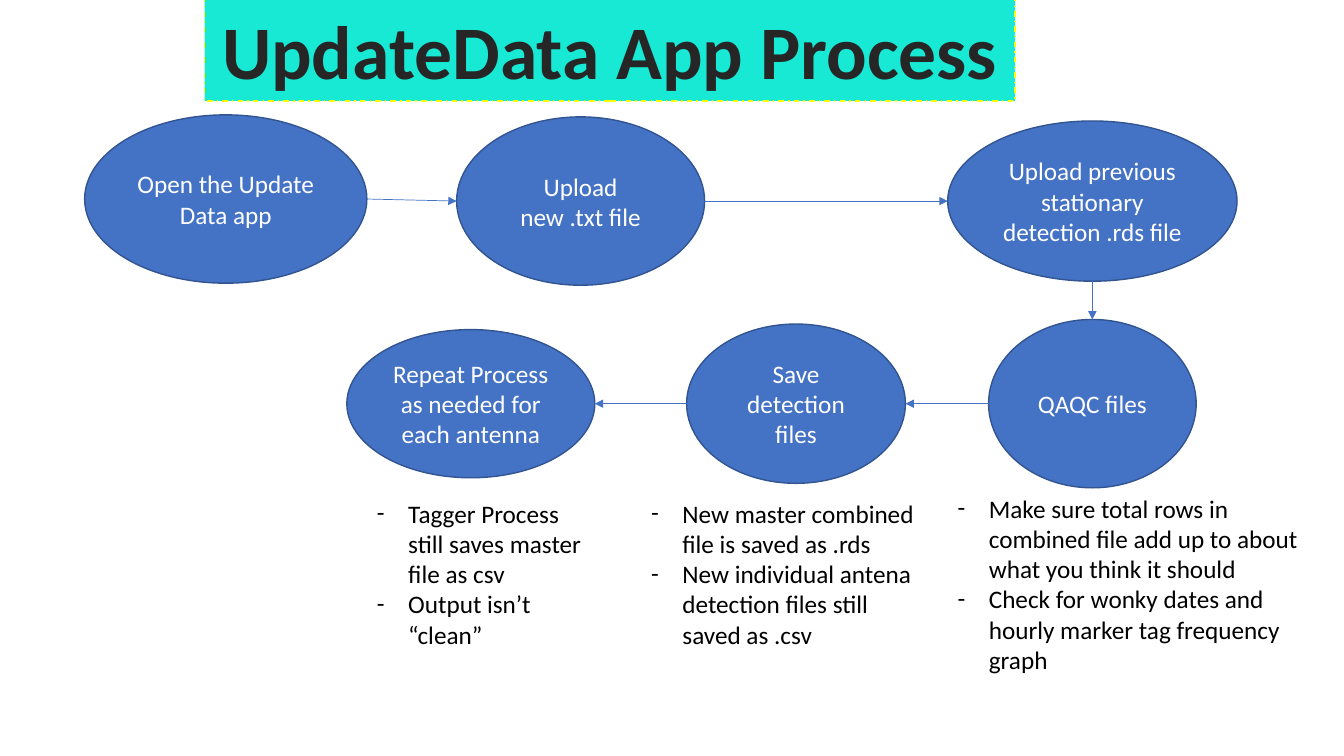
from itertools import pairwise

from lxml.etree import SubElement
from pptx import Presentation
from pptx.dml.color import RGBColor
from pptx.enum.dml import MSO_LINE_DASH_STYLE as Dash
from pptx.enum.shapes import MSO_CONNECTOR as Connector, MSO_SHAPE as Shape
from pptx.enum.text import MSO_ANCHOR as Anchor, MSO_AUTO_SIZE as AutoSize, PP_ALIGN as Align
from pptx.oxml import parse_xml
from pptx.oxml.ns import nsdecls, qn
from pptx.util import Inches, Pt

WIDTH, HEIGHT = Inches(13.33), Inches(7.5)
BLUE, NAVY, WHITE, BLACK = "4472C4", "325491", "FFFFFF", "000000"
TOP_ROW, LOWER_ROW = 26.6, 53.4

# Text, centre x, centre y, width, height: percent of the slide
STEPS = [
    ("Open the Update Data app", 16.8, 26.33, 21, 22.27),
    ("Upload new .txt file", 43.2, TOP_ROW, 18.45, 22.27),
    ("Upload previous stationary detection .rds file", 81.28, TOP_ROW, 21.53, 21.2),
    ("QAQC files", 81.28, LOWER_ROW, 15.45, 22.27),
    ("Save detection files", 59.23, LOWER_ROW, 16.28, 21.07),
    ("Repeat Process as needed for each antenna", 35.03, LOWER_ROW, 18.45, 19.6),
]

# Lines, then left, top, width, height: percent of the slide
NOTES = [
    (["Make sure total rows in combined file add up to about what you think it should",
      "Check for wonky dates and hourly marker tag frequency graph"],
     70.5, 64.53, 29.48, 29.6),
    (["New master combined file is saved as .rds",
      "New individual antena detection files still saved as .csv"],
     47.7, 65.2, 21.45, 25.6),
    (["Tagger Process still saves master file as csv", "Output isn’t “clean”"],
     27.3, 65.2, 17.48, 21.6),
]


def color(hex_code):
    return RGBColor.from_string(hex_code)


def box(left, top, width, height):
    """Turn percent of the slide into lengths."""
    return (int(WIDTH * left / 100), int(HEIGHT * top / 100),
            int(WIDTH * width / 100), int(HEIGHT * height / 100))


def place(holder, *shares):
    holder.left, holder.top, holder.width, holder.height = box(*shares)


def paint(shape, fill, line, dash=None):
    shape.fill.solid()
    shape.fill.fore_color.rgb = color(fill)
    shape.line.color.rgb = color(line)
    shape.line.width = Pt(1)
    if dash:
        shape.line.dash_style = dash


def write(shape, lines, size=18, ink=BLACK, bold=False, align=Align.LEFT,
          anchor=Anchor.TOP, grow=False, bullet=None, outline=None):
    frame = shape.text_frame
    frame.word_wrap = True
    frame.vertical_anchor = anchor
    frame.auto_size = AutoSize.SHAPE_TO_FIT_TEXT if grow else AutoSize.NONE
    frame.text = "\n".join(lines)
    for paragraph in frame.paragraphs:
        paragraph.alignment = align
        paragraph.space_before = Pt(0)
        if bullet:
            add_bullet(paragraph, bullet)
        run = paragraph.runs[0]
        font = run.font
        font.name, font.size, font.bold = "Calibri", Pt(size), bold
        font.color.rgb = color(ink)
        if outline:
            add_outline(run, outline)


def add_outline(run, hex_code):
    run._r.get_or_add_rPr().insert(0, parse_xml(
        f'<a:ln {nsdecls("a")} w="{Pt(1.06)}"><a:solidFill>'
        f'<a:srgbClr val="{hex_code}"/></a:solidFill></a:ln>'))


def add_bullet(paragraph, mark):
    properties = paragraph._p.get_or_add_pPr()
    properties.set("marL", str(Inches(0.31)))
    properties.set("indent", str(-Inches(0.31)))
    SubElement(properties, qn("a:buFont"), typeface="Calibri")
    SubElement(properties, qn("a:buChar"), char=mark)


def add_step(slide, label, center_x, center_y, width, height):
    step = slide.shapes.add_shape(Shape.OVAL, *box(
        center_x - width / 2, center_y - height / 2, width, height))
    step.shadow.inherit = False
    paint(step, BLUE, NAVY)
    write(step, [label], ink=WHITE, align=Align.CENTER, anchor=Anchor.MIDDLE)
    return step


def facing_points(start, end):
    """Give the points where two neighbouring steps face each other."""
    start_x, start_y = start.left + start.width // 2, start.top + start.height // 2
    end_x, end_y = end.left + end.width // 2, end.top + end.height // 2
    if abs(end_x - start_x) < start.width // 2:
        return start_x, start.top + start.height, end_x, end.top
    if end_x > start_x:
        return start.left + start.width, start_y, end.left, end_y
    return start.left, start_y, end.left + end.width, end_y


def add_arrow(slide, start, end):
    arrow = slide.shapes.add_connector(Connector.STRAIGHT, *facing_points(start, end))
    arrow.line.color.rgb = color(BLUE)
    arrow.line.width = Pt(0.5)
    SubElement(arrow.line._get_or_add_ln(), qn("a:tailEnd"), type="triangle")
    SubElement(arrow._element.spPr, qn("a:effectLst"))


def main():
    deck = Presentation()
    deck.slide_width, deck.slide_height = WIDTH, HEIGHT
    slide = deck.slides.add_slide(deck.slide_layouts.get_by_name("Comparison"))
    title, *bodies = slide.placeholders

    place(title, 15.23, -0.13, 60.3, 13.47)
    paint(title, "17E9D5", "FFFF00", Dash.DASH_DOT)
    write(title, ["UpdateData App Process"], size=54, ink="262626", bold=True,
          align=Align.CENTER, grow=True, outline=WHITE)

    for body, (lines, *shares) in zip(bodies, NOTES):
        place(body, *shares)
        write(body, lines, grow=True, bullet="-")
    for unused in bodies[len(NOTES):]:
        unused._element.getparent().remove(unused._element)

    steps = [add_step(slide, *step) for step in STEPS]
    for start, end in pairwise(steps):
        add_arrow(slide, start, end)

    deck.save("out.pptx")


if __name__ == "__main__":
    main()
